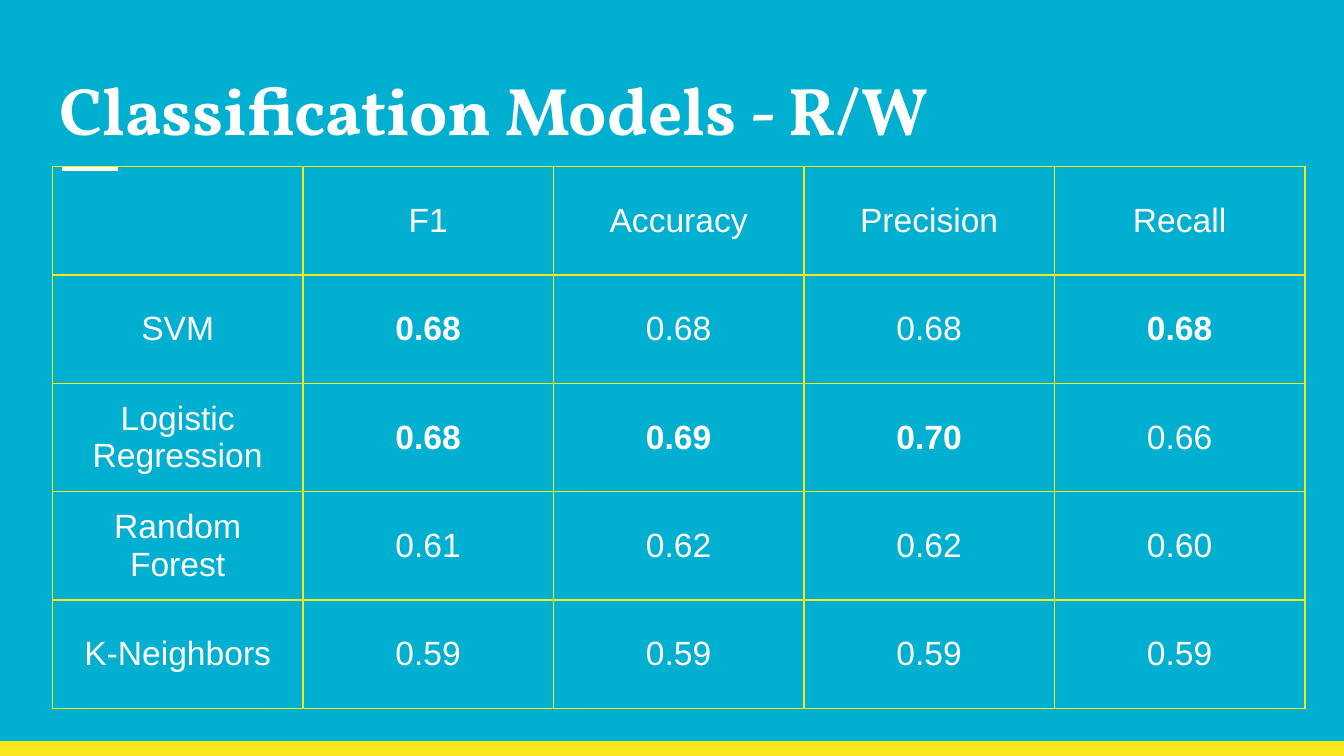
"""Build a slide with a table comparing classification models."""
from lxml.etree import SubElement
from pptx import Presentation
from pptx.dml.color import RGBColor
from pptx.enum.shapes import MSO_CONNECTOR, MSO_SHAPE
from pptx.enum.text import MSO_ANCHOR, MSO_AUTO_SIZE, PP_ALIGN
from pptx.oxml.ns import qn
from pptx.util import Inches, Pt

TITLE = "Classification Models - R/W"
METRICS = ["F1", "Accuracy", "Precision", "Recall"]
SCORES = {
    "SVM": [0.68, 0.68, 0.68, 0.68],
    "Logistic Regression": [0.68, 0.69, 0.70, 0.66],
    "Random Forest": [0.61, 0.62, 0.62, 0.60],
    "K-Neighbors": [0.59, 0.59, 0.59, 0.59],
}
COLORS = {"background": "01AFD1", "accent": "F8E71C", "text": "FFFFFF"}
WIDTH = 10
HEIGHT = WIDTH * 9 / 16
MARGIN, BAR_HEIGHT, INSET = 0.34, 0.11, 0.1
CONTENT_WIDTH = WIDTH - 2 * MARGIN
TABLE_LEFT, TABLE_TOP, TABLE_HEIGHT = 0.39, 1.24, 4.03
RULE_LEFT, RULE_TOP, RULE_WIDTH = 0.46, 1.26, 0.42


def color(name):
    return RGBColor.from_string(COLORS[name])


def write(frame, text, size=18, font="Arial", bold=False, align=PP_ALIGN.CENTER):
    paragraph = frame.paragraphs[0]
    paragraph.alignment = align
    run = paragraph.add_run()
    run.text = text
    run.font.size, run.font.name, run.font.bold = Pt(size), font, bold
    run.font.color.rgb = color("text")


def set_insets(target):
    for side in ("left", "top", "right", "bottom"):
        setattr(target, f"margin_{side}", Inches(INSET))


def add_borders(cell):
    properties = cell._tc.get_or_add_tcPr()
    for index, tag in enumerate(("a:lnL", "a:lnR", "a:lnT", "a:lnB")):
        line = properties.makeelement(qn(tag), {"w": str(Pt(0.75))})
        fill = SubElement(line, qn("a:solidFill"))
        SubElement(fill, qn("a:srgbClr"), val=COLORS["accent"])
        properties.insert(index, line)


def add_decoration(slide):
    bar = slide.shapes.add_shape(
        MSO_SHAPE.RECTANGLE, 0, Inches(HEIGHT - BAR_HEIGHT), Inches(WIDTH), Inches(BAR_HEIGHT))
    bar.shadow.inherit = False
    bar.fill.solid()
    bar.fill.fore_color.rgb = color("accent")
    bar.line.fill.background()
    rule = slide.shapes.add_connector(
        MSO_CONNECTOR.STRAIGHT, Inches(RULE_LEFT), Inches(RULE_TOP),
        Inches(RULE_LEFT + RULE_WIDTH), Inches(RULE_TOP))
    rule.line.color.rgb = color("text")
    rule.line.width = Pt(2.25)
    SubElement(rule._element.spPr, qn("a:effectLst"))


def add_title(slide):
    title = slide.shapes.title
    title.left, title.top = Inches(MARGIN), Inches(0.41)
    title.width, title.height = Inches(CONTENT_WIDTH), Inches(0.71)
    frame = title.text_frame
    frame.word_wrap, frame.auto_size = True, MSO_AUTO_SIZE.NONE
    frame.vertical_anchor = MSO_ANCHOR.TOP
    set_insets(frame)
    write(frame, TITLE, size=36, font="Vollkorn", bold=True, align=PP_ALIGN.LEFT)


def add_score_table(slide):
    best = [max(column) for column in zip(*SCORES.values())]
    rows = [[(text, False) for text in ["", *METRICS]]]
    for model, scores in SCORES.items():
        rows.append([(model, False)] + [
            (f"{score:.2f}", score == top) for score, top in zip(scores, best)])
    table = slide.shapes.add_table(
        len(rows), len(rows[0]), Inches(TABLE_LEFT), Inches(TABLE_TOP),
        Inches(CONTENT_WIDTH), Inches(TABLE_HEIGHT)).table
    table.first_row = table.horz_banding = False
    for row_index, row in enumerate(rows):
        for column_index, (text, bold) in enumerate(row):
            cell = table.cell(row_index, column_index)
            cell.fill.background()
            cell.vertical_anchor = MSO_ANCHOR.MIDDLE
            set_insets(cell)
            add_borders(cell)
            if text:
                write(cell.text_frame, text, bold=bold)


def main():
    presentation = Presentation()
    presentation.slide_width, presentation.slide_height = Inches(WIDTH), Inches(HEIGHT)
    slide = presentation.slides.add_slide(presentation.slide_layouts[5])
    slide.background.fill.solid()
    slide.background.fill.fore_color.rgb = color("background")
    add_decoration(slide)
    add_title(slide)
    add_score_table(slide)
    presentation.save("out.pptx")


if __name__ == "__main__":
    main()
